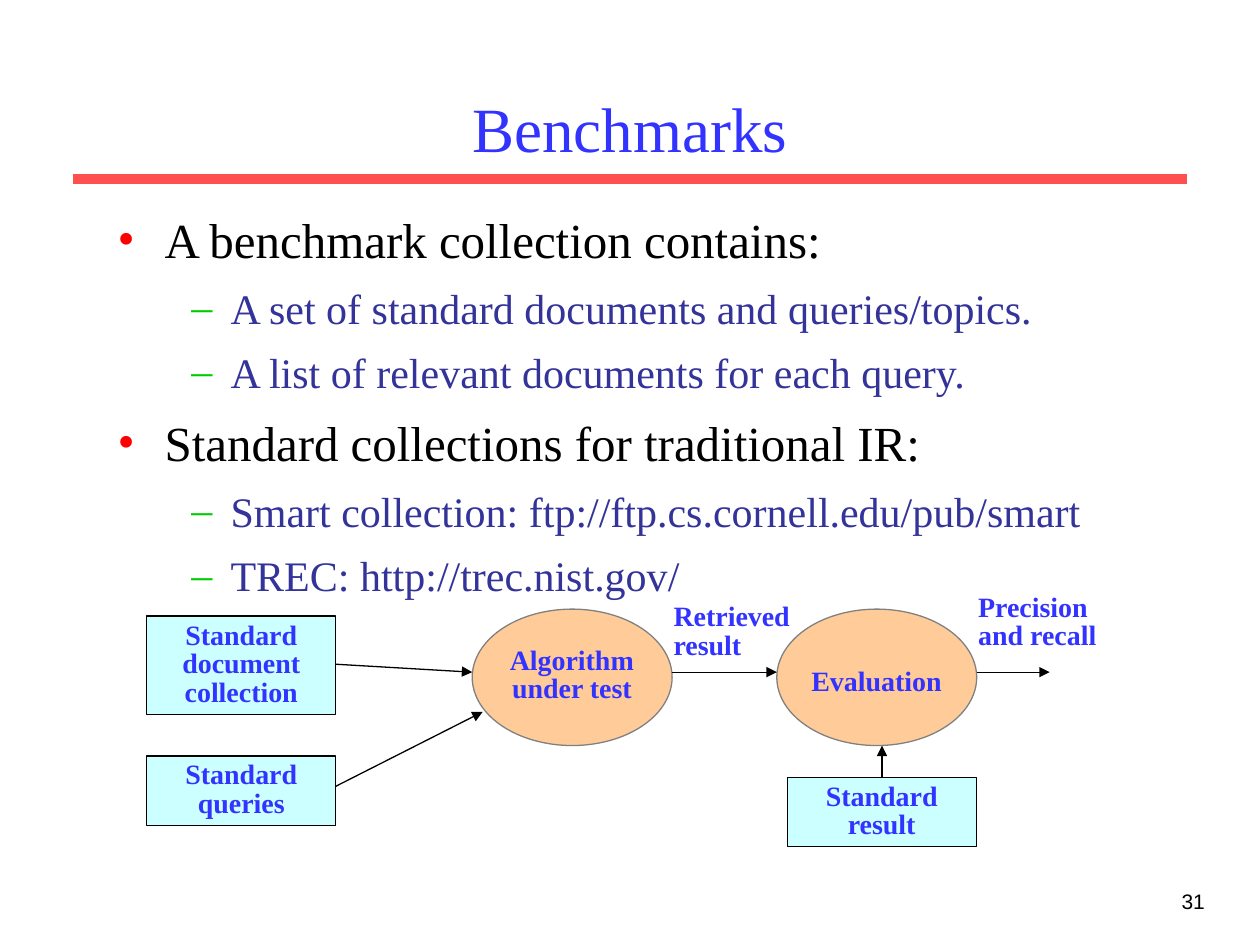
from dataclasses import dataclass
from lxml.etree import SubElement
from pptx import Presentation
from pptx.dml.color import RGBColor as RGB
from pptx.enum.shapes import MSO_CONNECTOR as CONN, MSO_SHAPE as SHAPE
from pptx.enum.text import MSO_ANCHOR as ANCHOR, MSO_AUTO_SIZE as FIT, PP_ALIGN as ALIGN
from pptx.oxml.ns import qn
from pptx.util import Cm, Pt


@dataclass(frozen=True)
class Theme:
    serif: str = "Times New Roman"
    sans: str = "Arial"
    blue: str = "3333FF"
    navy: str = "333399"
    black: str = "000000"
    gray: str = "808080"
    rule: str = "FF5050"
    red: str = "FF0000"
    green: str = "00CC00"
    box: str = "CCFFFF"
    oval: str = "FFCC99"
    title: int = 36
    item: int = 28
    subitem: int = 24
    label: int = 16
    number: int = 12
    thin: float = 0.75
    thick: int = 6


T = Theme()
LEVELS = [
    {"size": T.item, "color": T.black, "bullet": "•", "bullet_color": T.red,
     "indent": 0.95, "hang": 0.95, "before": 9},
    {"size": T.subitem, "color": T.navy, "bullet": "–", "bullet_color": T.green,
     "indent": 2.28, "hang": 0.79, "before": 8},
]
ITEMS = [
    (0, "A benchmark collection contains:"),
    (1, "A set of standard documents and queries/topics."),
    (1, "A list of relevant documents for each query."),
    (0, "Standard collections for traditional IR:"),
    (1, "Smart collection: ftp://ftp.cs.cornell.edu/pub/smart"),
    (1, "TREC: http://trec.nist.gov/"),
]


def set_attrs(obj, values):
    for name, value in values.items():
        setattr(obj, name, value)


def write(p, text, size, color, font=T.serif, bold=False):
    r = p.add_run()
    r.text = text
    set_attrs(r.font, {"name": font, "size": Pt(size), "bold": bold})
    r.font.color.rgb = RGB.from_string(color)


def frame(sp, anchor):
    tf = sp.text_frame
    set_attrs(tf, {"word_wrap": True, "auto_size": FIT.NONE, "vertical_anchor": anchor,
                   "margin_left": Cm(0.25), "margin_right": Cm(0.25),
                   "margin_top": Cm(0.13), "margin_bottom": Cm(0.13)})
    return tf


def text_box(s, box, anchor=ANCHOR.TOP):
    return frame(s.shapes.add_textbox(*map(Cm, box)), anchor)


def add_label(tf, text, align=ALIGN.CENTER):
    p = tf.paragraphs[0]
    set_attrs(p, {"alignment": align, "line_spacing": 0.85})
    write(p, text, T.label, T.blue, bold=True)


def add_line(s, start, end, color=T.black, width=T.thin, arrow=True):
    cx = s.shapes.add_connector(CONN.STRAIGHT, *map(Cm, (*start, *end)))
    cx.line.color.rgb = RGB.from_string(color)
    cx.line.width = Pt(width)
    if arrow:
        SubElement(cx.line._get_or_add_ln(), qn("a:tailEnd"), type="triangle")
    SubElement(cx._element.spPr, qn("a:effectLst"))


def add_node(s, kind, box, fill, line):
    sp = s.shapes.add_shape(kind, *map(Cm, box))
    sp.shadow.inherit = False
    sp.fill.solid()
    sp.fill.fore_color.rgb = RGB.from_string(fill)
    sp.line.color.rgb = RGB.from_string(line)
    sp.line.width = Pt(T.thin)
    return sp


def add_title(s, box, text):
    x, y, w, h = box
    sp = s.shapes.title
    set_attrs(sp, dict(zip(("left", "top", "width", "height"), map(Cm, box))))
    p = frame(sp, ANCHOR.MIDDLE).paragraphs[0]
    p.alignment = ALIGN.CENTER
    write(p, text, T.title, T.blue)
    add_line(s, (x, y + h - 0.05), (x + w, y + h - 0.05), T.rule, T.thick, arrow=False)


def add_bullets(s, box, items):
    tf = text_box(s, box)
    tf.margin_top = Cm(0.2)
    for i, (level, text) in enumerate(items):
        style = LEVELS[level]
        p = tf.add_paragraph() if i else tf.paragraphs[0]
        p.level = level
        p.space_before = Pt(style["before"] if i else 0)
        pPr = p._p.get_or_add_pPr()
        pPr.set("marL", str(Cm(style["indent"])))
        pPr.set("indent", str(-Cm(style["hang"])))
        SubElement(SubElement(pPr, qn("a:buClr")), qn("a:srgbClr"), val=style["bullet_color"])
        SubElement(pPr, qn("a:buFont"), typeface=T.serif)
        SubElement(pPr, qn("a:buChar"), char=style["bullet"])
        write(p, text, style["size"], style["color"])


def add_diagram(s, box):
    left, top, _, _ = box

    def place(x, y, *size):
        return (left + x, top + y, *size)

    for x, y, h, text in [(0, 0.56, 1.98, "Standard document collection"),
                          (0, 3.38, 1.4, "Standard queries"),
                          (12.91, 3.81, 1.4, "Standard result")]:
        sp = add_node(s, SHAPE.RECTANGLE, place(x, y, 3.81, h), T.box, T.black)
        add_label(frame(sp, ANCHOR.BOTTOM), text)

    for x, dy, h, text in [(6.56, 0.65, 1.4, "Algorithm under test"),
                           (12.7, 1.06, 0.85, "Evaluation")]:
        add_node(s, SHAPE.OVAL, place(x, 0.42, 4.03, 2.75), T.oval, T.gray)
        add_label(text_box(s, place(x + 0.42, 0.42 + dy, 3.18, h), ANCHOR.BOTTOM), text)

    for start, end in [((3.81, 1.53), (6.56, 1.69)),
                       ((3.81, 3.99), (6.77, 2.49)),
                       ((10.59, 1.69), (12.7, 1.69)),
                       ((16.73, 1.69), (18.2, 1.69)),
                       ((14.82, 3.81), (14.82, 3.17))]:
        add_line(s, place(*start), place(*end))

    for x, y, text in [(10.37, 0.2, "Retrieved result"), (16.51, 0, "Precision and recall")]:
        add_label(text_box(s, place(x, y, 2.96, 1.4), ANCHOR.BOTTOM), text, ALIGN.LEFT)


def add_number(s, box, text):
    p = text_box(s, box).paragraphs[0]
    p.alignment = ALIGN.RIGHT
    write(p, text, T.number, T.black, T.sans)


def main():
    prs = Presentation()
    set_attrs(prs, {"slide_width": Cm(25.4), "slide_height": Cm(19.05)})
    s = prs.slides.add_slide(prs.slide_layouts[5])
    add_title(s, (1.48, 1.48, 22.44, 2.18), "Benchmarks")
    add_bullets(s, (2.12, 4.02, 20.57, 7.77), ITEMS)
    add_diagram(s, (2.96, 11.86, 19.47, 5.21))
    add_number(s, (19.26, 17.78, 5.28, 1.27), "31")
    prs.save("out.pptx")


if __name__ == "__main__":
    main()
